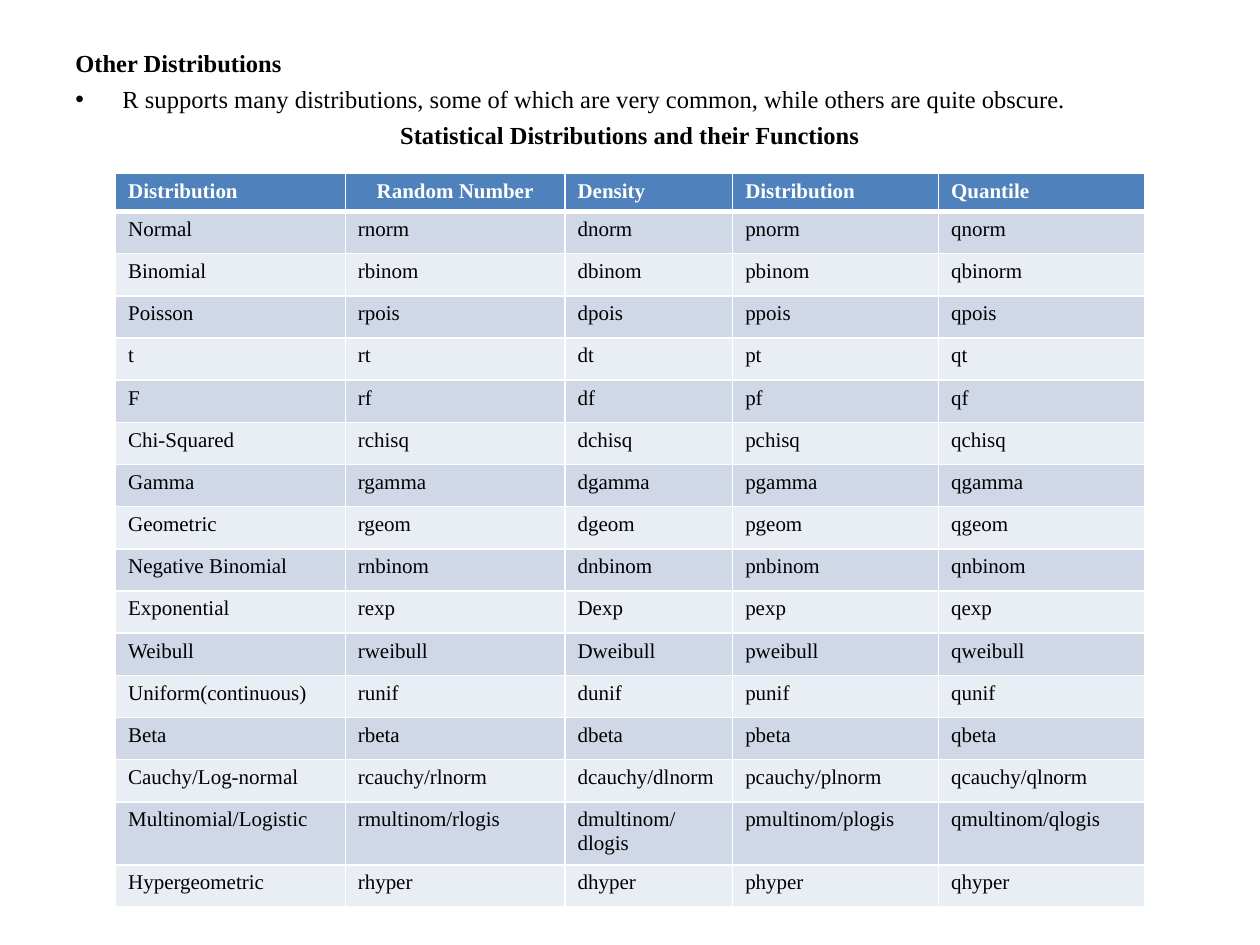
from lxml import etree
from pptx import Presentation
from pptx.dml.color import RGBColor
from pptx.enum.text import PP_ALIGN
from pptx.oxml.ns import qn
from pptx.util import Cm, Pt

LEFT, CENTER, JUSTIFY = PP_ALIGN.LEFT, PP_ALIGN.CENTER, PP_ALIGN.JUSTIFY
FONT = "Times New Roman"
COLORS = {
    "text": "000000",
    "white": "FFFFFF",
    "header": "4F81BD",
    "odd": "D0D8E8",
    "even": "E9EDF4",
}

HEADINGS = ["Distribution", "Random Number", "Density", "Distribution", "Quantile"]
# Each function name is a prefix letter followed by the stem
PREFIXES = "rdpq"
STEMS = {
    "Normal": "norm",
    "Binomial": "binom",
    "Poisson": "pois",
    "t": "t",
    "F": "f",
    "Chi-Squared": "chisq",
    "Gamma": "gamma",
    "Geometric": "geom",
    "Negative Binomial": "nbinom",
    "Exponential": "exp",
    "Weibull": "weibull",
    "Uniform(continuous)": "unif",
    "Beta": "beta",
    "Cauchy/Log-normal": "cauchy/lnorm",
    "Multinomial/Logistic": "multinom/logis",
    "Hypergeometric": "hyper",
}
IRREGULAR = {"qbinom": "qbinorm", "dexp": "Dexp", "dweibull": "Dweibull"}

COLUMN_WIDTHS = [4.63, 4.43, 3.38, 4.15, 4.15]
HEADER_HEIGHT, ROW_HEIGHT, TALL_ROW_HEIGHT = 0.72, 0.85, 1.2


def write_text(paragraph, text, size=12, bold=False, color="text", align=LEFT, before=0):
    paragraph.alignment = align
    paragraph.space_before = Pt(before)
    run = paragraph.add_run()
    run.text = text
    font = run.font
    font.name, font.size, font.bold = FONT, Pt(size), bold
    font.color.rgb = RGBColor.from_string(COLORS[color])


def set_hanging_indent(paragraph, indent, bullet=None):
    properties = paragraph._p.get_or_add_pPr()
    properties.set("marL", str(Cm(indent)))
    properties.set("indent", str(-Cm(indent)))
    if bullet:
        etree.SubElement(properties, qn("a:buFont")).set("typeface", "Arial")
        etree.SubElement(properties, qn("a:buChar")).set("char", bullet)


def set_borders(cell, top=1, bottom=1):
    properties = cell._tc.get_or_add_tcPr()
    for side, width in (("L", 1), ("R", 1), ("T", top), ("B", bottom)):
        line = etree.SubElement(properties, qn(f"a:ln{side}"), w=str(Pt(width)))
        fill = etree.SubElement(line, qn("a:solidFill"))
        etree.SubElement(fill, qn("a:srgbClr"), val=COLORS["white"])


def function_names(stem):
    names = ["/".join(prefix + part for part in stem.split("/")) for prefix in PREFIXES]
    return [IRREGULAR.get(name, name) for name in names]


def add_introduction(slide, left, top, width, height):
    box = slide.shapes.add_textbox(Cm(left), Cm(top), Cm(width), Cm(height))
    frame = box.text_frame
    frame.word_wrap = True
    lines = [
        ("Other Distributions", True, JUSTIFY, None),
        ("R supports many distributions, some of which are very common, "
         "while others are quite obscure.", False, JUSTIFY, "•"),
        ("Statistical Distributions and their Functions", True, CENTER, None),
    ]
    for index, (text, bold, align, bullet) in enumerate(lines):
        paragraph = frame.add_paragraph() if index else frame.paragraphs[0]
        set_hanging_indent(paragraph, 0.95, bullet)
        write_text(paragraph, text, size=14, bold=bold, align=align,
                   before=3.6 if index else 0)


def add_distribution_table(slide, left, top):
    rows = [HEADINGS] + [[name, *function_names(stem)] for name, stem in STEMS.items()]
    heights = [HEADER_HEIGHT] + [
        TALL_ROW_HEIGHT if name == "Multinomial/Logistic" else ROW_HEIGHT for name in STEMS
    ]
    table = slide.shapes.add_table(
        len(rows), len(HEADINGS), Cm(left), Cm(top),
        Cm(sum(COLUMN_WIDTHS)), Cm(sum(heights)),
    ).table
    for column, width in zip(table.columns, COLUMN_WIDTHS):
        column.width = Cm(width)
    for row, height in zip(table.rows, heights):
        row.height = Cm(height)

    for row_index, texts in enumerate(rows):
        header = row_index == 0
        fill = "header" if header else ("odd" if row_index % 2 else "even")
        for column_index, text in enumerate(texts):
            cell = table.cell(row_index, column_index)
            # A thick rule separates the header from the first row
            set_borders(cell, top=3 if row_index == 1 else 1, bottom=3 if header else 1)
            cell.fill.solid()
            cell.fill.fore_color.rgb = RGBColor.from_string(COLORS[fill])
            write_text(cell.text_frame.paragraphs[0], text, bold=header,
                       color="white" if header else "text",
                       align=CENTER if text == "Random Number" else LEFT)


def main():
    presentation = Presentation()
    presentation.slide_width, presentation.slide_height = Cm(25.4), Cm(19.05)
    slide = presentation.slides.add_slide(presentation.slide_layouts[6])
    add_introduction(slide, 1.27, 0.85, 22.86, 16.18)
    add_distribution_table(slide, 2.33, 3.5)
    presentation.save("out.pptx")


if __name__ == "__main__":
    main()
